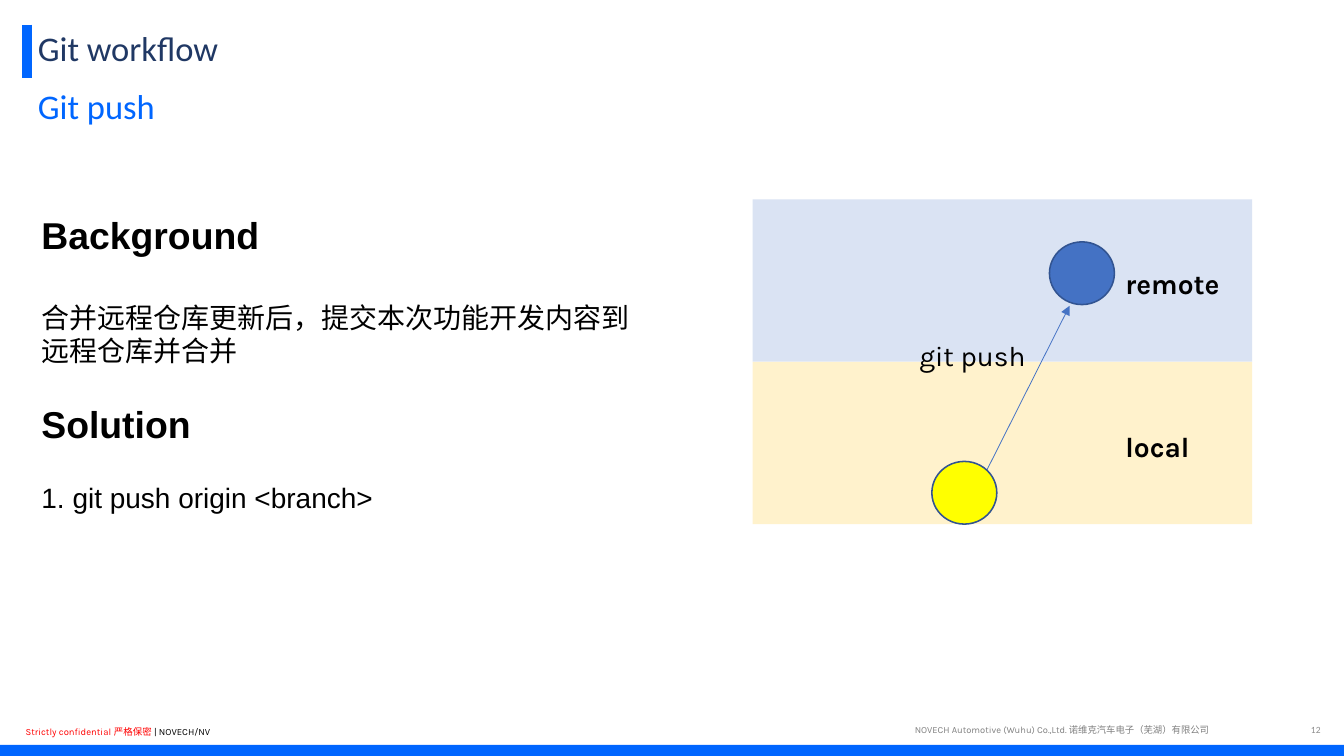
from pptx import Presentation
from pptx import util as u
from pptx.dml.color import RGBColor
from pptx.enum import shapes, text
from pptx.oxml.ns import qn
from lxml import etree

# Slide size in inches
W, H = 12, 6.75

# Colours
BRAND = RGBColor(0x00, 0x66, 0xFF)
NAVY = RGBColor(0x20, 0x38, 0x64)
BLACK = RGBColor(0x00, 0x00, 0x00)
RED = RGBColor(0xFF, 0x00, 0x00)
GREY = RGBColor(0x80, 0x80, 0x80)
PAGE_GREY = RGBColor(0x8C, 0x8C, 0x8C)
REMOTE_FILL = RGBColor(0xDA, 0xE3, 0xF3)
LOCAL_FILL = RGBColor(0xFF, 0xF2, 0xCC)
BLUE = RGBColor(0x44, 0x72, 0xC4)
YELLOW = RGBColor(0xFF, 0xFF, 0x00)
OUTLINE = RGBColor(0x32, 0x54, 0x91)

# Diagram grid: one column, two equal lanes
LANE_X, LANE_Y, LANE_W, LANE_H = 6.72, 1.78, 4.46, 1.45
NODE_W, NODE_H = 0.58, 0.56


def inches(*values):
    return [u.Inches(v) for v in values]


def style(r, size, font, color, bold=False):
    r.font.size = u.Pt(size)
    r.font.name = font
    r.font.color.rgb = color
    r.font.bold = bold


def add_box(s, box, anchor=text.MSO_ANCHOR.TOP):
    tf = s.shapes.add_textbox(*inches(*box)).text_frame
    tf.word_wrap = True
    tf.vertical_anchor = anchor
    return tf


def add_label(s, box, words, size, font, color, bold=False,
              anchor=text.MSO_ANCHOR.TOP):
    tf = add_box(s, box, anchor)
    tf.text = words
    p = tf.paragraphs[0]
    style(p.runs[0], size, font, color, bold)
    return p


def add_block(s, kind, box, fill, outline=None):
    sp = s.shapes.add_shape(kind, *inches(*box))
    sp.shadow.inherit = False
    sp.fill.solid()
    sp.fill.fore_color.rgb = fill
    if outline is None:
        sp.line.fill.background()
    else:
        sp.line.color.rgb = outline
        sp.line.width = u.Pt(1)


def add_line(s, start, end, color, width, arrow=False):
    line = s.shapes.add_connector(shapes.MSO_CONNECTOR.STRAIGHT,
                                  *inches(*start, *end))
    line.line.color.rgb = color
    line.line.width = u.Pt(width)
    if arrow:
        etree.SubElement(line.line._get_or_add_ln(), qn("a:tailEnd"),
                         type="triangle")
    etree.SubElement(line._element.spPr, qn("a:effectLst"))


def add_frame(s):
    # Header
    middle = text.MSO_ANCHOR.MIDDLE
    add_line(s, (0.24, 0.22), (0.24, 0.7), BRAND, 6)
    title = add_label(s, (0.24, 0.21, 0.8 * W, 0.48), "Git workflow",
                      22.2, "Calibri", NAVY, anchor=middle)
    title.line_spacing = 0.9
    add_label(s, (0.24, 0.7, 0.96 * W, 0.48), "Git push",
              22.2, "Calibri", BRAND, anchor=middle)

    # Footer
    add_block(s, shapes.MSO_SHAPE.RECTANGLE, (0, H - 0.1, W, 0.1), BRAND)
    p = add_label(s, (0.13, 6.43, 2.64, 0.2), "Strictly confidential 严格保密 ",
                  6.1, "Karla", RED)
    r = p.add_run()
    r.text = "| NOVECH/NV"
    style(r, 6.1, "Karla", BLACK)
    add_label(s, (8.07, 6.42, 3.7, 0.2),
              "NOVECH Automotive (Wuhu) Co.,Ltd. 诺维克汽车电子（芜湖）有限公司",
              6, "Karla", GREY)
    page = add_label(s, (11.33, 6.45, 0.56, 0.14), "12", 6.1, "Calibri",
                     PAGE_GREY, anchor=middle)
    page.alignment = text.PP_ALIGN.RIGHT


def add_explanation(s):
    # Words, size, bold, space before in points
    rows = [
        ("Background", 24, True, 0),
        ("合并远程仓库更新后，提交本次功能开发内容到远程仓库并合并", 18, False, 28),
        ("Solution", 24, True, 22),
        ("1. git push origin <branch>", 18, False, 22),
    ]
    tf = add_box(s, (0.26, 1.83, 5.65, 2.85))
    tf.margin_left = tf.margin_right = u.Inches(0.11)
    tf.margin_top = tf.margin_bottom = u.Inches(0.06)
    for i, (words, size, bold, before) in enumerate(rows):
        p = tf.add_paragraph() if i else tf.paragraphs[0]
        p.text = words
        p.space_before = u.Pt(before)
        style(p.runs[0], size, "Arial", BLACK, bold)


def add_diagram(s):
    # Lanes
    for row, fill in enumerate((REMOTE_FILL, LOCAL_FILL)):
        add_block(s, shapes.MSO_SHAPE.RECTANGLE,
                  (LANE_X, LANE_Y + row * LANE_H, LANE_W, LANE_H), fill)

    # Commits and the push between them
    oval = shapes.MSO_SHAPE.OVAL
    add_block(s, oval, (9.37, 2.16, NODE_W, NODE_H), BLUE, OUTLINE)
    add_line(s, (8.81, 4.2), (9.55, 2.73), BLUE, 0.5, arrow=True)
    add_block(s, oval, (8.32, 4.12, NODE_W, NODE_H), YELLOW, OUTLINE)

    # Labels
    for words, x, y, width, bold in (("git push", 8.11, 2.97, 2.37, False),
                                     ("remote", 9.95, 2.33, 1.15, True),
                                     ("local", 9.95, 3.79, 1.15, True)):
        add_label(s, (x, y, width, 0.4), words, 18, "Karla", BLACK, bold)


def main():
    prs = Presentation()
    prs.slide_width, prs.slide_height = inches(W, H)
    s = prs.slides.add_slide(prs.slide_layouts[6])
    add_frame(s)
    add_explanation(s)
    add_diagram(s)
    prs.save("out.pptx")


if __name__ == "__main__":
    main()
